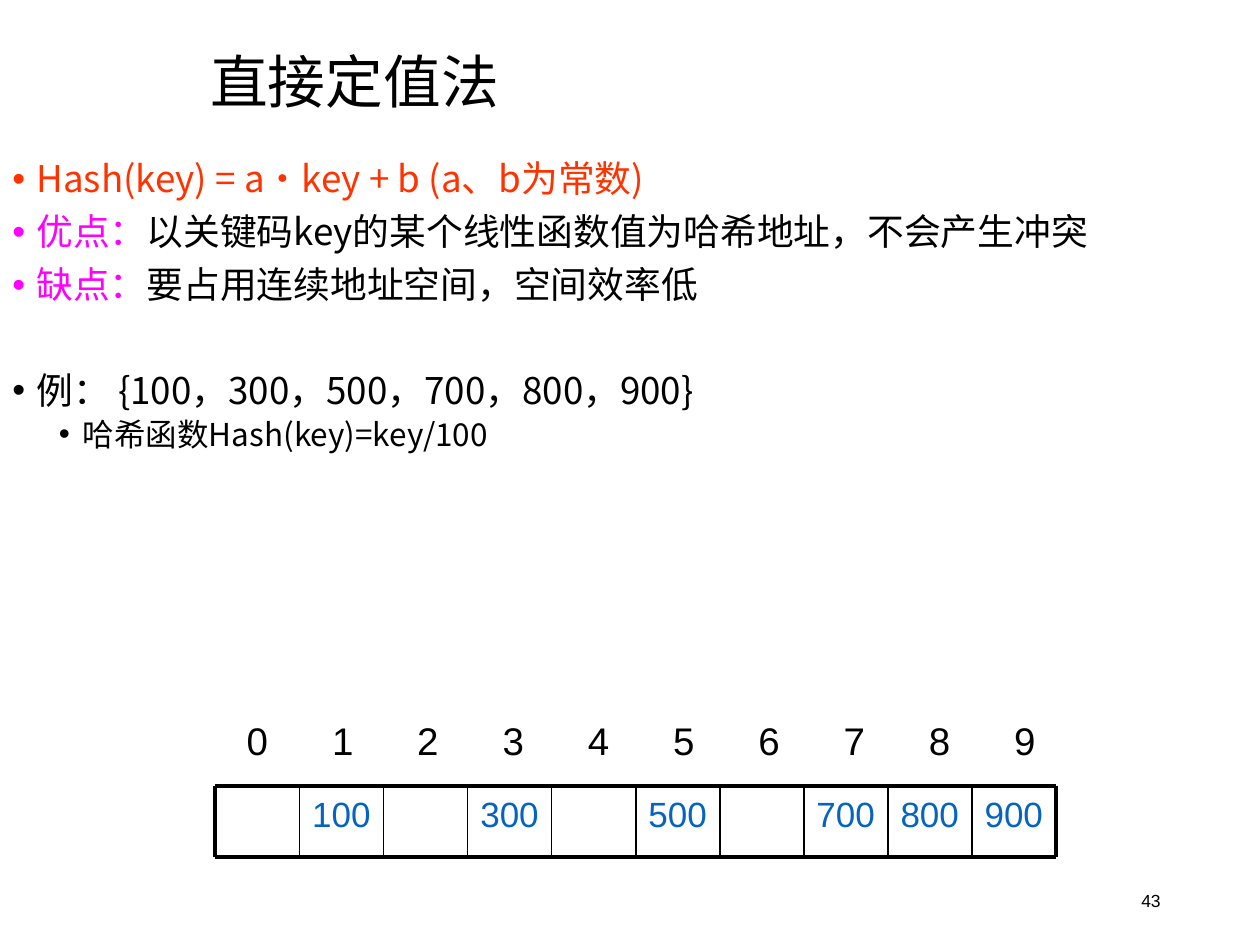
from lxml import etree
from pptx import Presentation
from pptx.dml.color import RGBColor
from pptx.enum import shapes, text as t
from pptx.oxml.ns import qn
from pptx.util import Inches, Pt

CJK, LATIN = "Noto Sans CJK SC", "Arial"
BLACK, RED, PINK, BLUE = "000000", "FF3300", "FF00FF", "0563C1"

TITLE = "直接定值法"
# (level, space before in points, runs of text and colour)
POINTS = [
    (0, 0, [("Hash(key) = a·key + b (a、b为常数)", RED)]),
    (0, 7.5, [("优点：", PINK), ("以关键码key的某个线性函数值为哈希地址，不会产生冲突", BLACK)]),
    (0, 7.5, [("缺点：", PINK), ("要占用连续地址空间，空间效率低", BLACK)]),
    (0, 37.8, [("例： {100，300，500，700，800，900}", BLACK)]),
    (1, 3.7, [("哈希函数Hash(key)=key/100", BLACK)]),
]
LEVELS = [(21, 0.19), (18, 0.56)]  # text size, left margin
HANGING = 0.19
KEYS = [100, 300, 500, 700, 800, 900]
SLOTS = 10
PAGE = "43"

SLOT_LEFT, SLOT_TOP, SLOT_WIDTH, SLOT_HEIGHT = 1.71, 6.24, 6.67 / SLOTS, 0.56
INDEX_PITCH = 6.09 / (SLOTS - 1)
THICK, THIN = 2.25, 1


def color(hex_code):
    return RGBColor.from_string(hex_code)


def add_xml(parent, tag, **attributes):
    return etree.SubElement(parent, qn(tag), {k: str(v) for k, v in attributes.items()})


def write(paragraph, content, size, font=LATIN, fill=BLACK, align=None, spacing=None):
    """Add one formatted run to a paragraph."""
    if align is not None:
        paragraph.alignment = align
    if spacing:
        paragraph.line_spacing = spacing
    run = paragraph.add_run()
    run.text = content
    run.font.size = Pt(size)
    run.font.name = font
    run.font.color.rgb = color(fill)
    add_xml(run._r.get_or_add_rPr(), "a:ea", typeface=font)


def add_frame(slide, left, top, width, height, anchor=t.MSO_ANCHOR.TOP):
    box = slide.shapes.add_textbox(Inches(left), Inches(top), Inches(width), Inches(height))
    frame = box.text_frame
    frame.word_wrap = True
    frame.vertical_anchor = anchor
    return frame


def add_line(slide, x1, y1, x2, y2, width):
    line = slide.shapes.add_connector(
        shapes.MSO_CONNECTOR.STRAIGHT, Inches(x1), Inches(y1), Inches(x2), Inches(y2))
    line.line.color.rgb = color(BLACK)
    line.line.width = Pt(width)
    add_xml(line._element.spPr, "a:effectLst")


def add_points(slide):
    frame = add_frame(slide, 0, 1.23, 8.98, 4.17)
    for number, (level, before, runs) in enumerate(POINTS):
        paragraph = frame.add_paragraph() if number else frame.paragraphs[0]
        size, margin = LEVELS[level]
        paragraph.level = level
        paragraph.space_before = Pt(before)
        paragraph.line_spacing = 0.9
        props = paragraph._p.get_or_add_pPr()
        props.set("marL", str(Inches(margin)))
        props.set("indent", str(-Inches(HANGING)))
        add_xml(add_xml(props, "a:buClr"), "a:srgbClr", val=runs[0][1])
        add_xml(props, "a:buFont", typeface=LATIN)
        add_xml(props, "a:buChar", char="•")
        for content, fill in runs:
            write(paragraph, content, size, CJK, fill)


def add_indexes(slide):
    paragraph = add_frame(slide, 1.86, 5.64, 6.68, 0.47).paragraphs[0]
    stops = add_xml(paragraph._p.get_or_add_pPr(), "a:tabLst")
    for slot in range(1, SLOTS):
        add_xml(stops, "a:tab", pos=Inches(slot * INDEX_PITCH), algn="l")
    write(paragraph, "\t".join(str(slot) for slot in range(SLOTS)), 22)


def add_slots(slide):
    """Draw the address row: keys at key / 100, then the rules around them."""
    for key in KEYS:
        left = SLOT_LEFT + key // 100 * SLOT_WIDTH
        frame = add_frame(slide, left, SLOT_TOP, SLOT_WIDTH, SLOT_HEIGHT)
        write(frame.paragraphs[0], str(key), 20, fill=BLUE, align=t.PP_ALIGN.CENTER)
    right, bottom = SLOT_LEFT + SLOTS * SLOT_WIDTH, SLOT_TOP + SLOT_HEIGHT
    for y in (SLOT_TOP, bottom):
        add_line(slide, SLOT_LEFT, y, right, y, THICK)
    for edge in range(SLOTS + 1):
        x = SLOT_LEFT + edge * SLOT_WIDTH
        add_line(slide, x, SLOT_TOP, x, bottom, THICK if edge in (0, SLOTS) else THIN)


def main():
    deck = Presentation()
    deck.slide_width, deck.slide_height = Inches(10), Inches(7.5)
    slide = deck.slides.add_slide(deck.slide_layouts[6])
    middle = t.MSO_ANCHOR.MIDDLE
    page = add_frame(slide, 7.06, 6.95, 2.25, 0.4, anchor=middle)
    write(page.paragraphs[0], PAGE, 10, align=t.PP_ALIGN.RIGHT)
    title = add_frame(slide, 1.57, 0.35, 8.43, 0.65, anchor=middle)
    write(title.paragraphs[0], TITLE, 33, CJK, spacing=0.9)
    add_points(slide)
    add_indexes(slide)
    add_slots(slide)
    deck.save("out.pptx")


if __name__ == "__main__":
    main()
